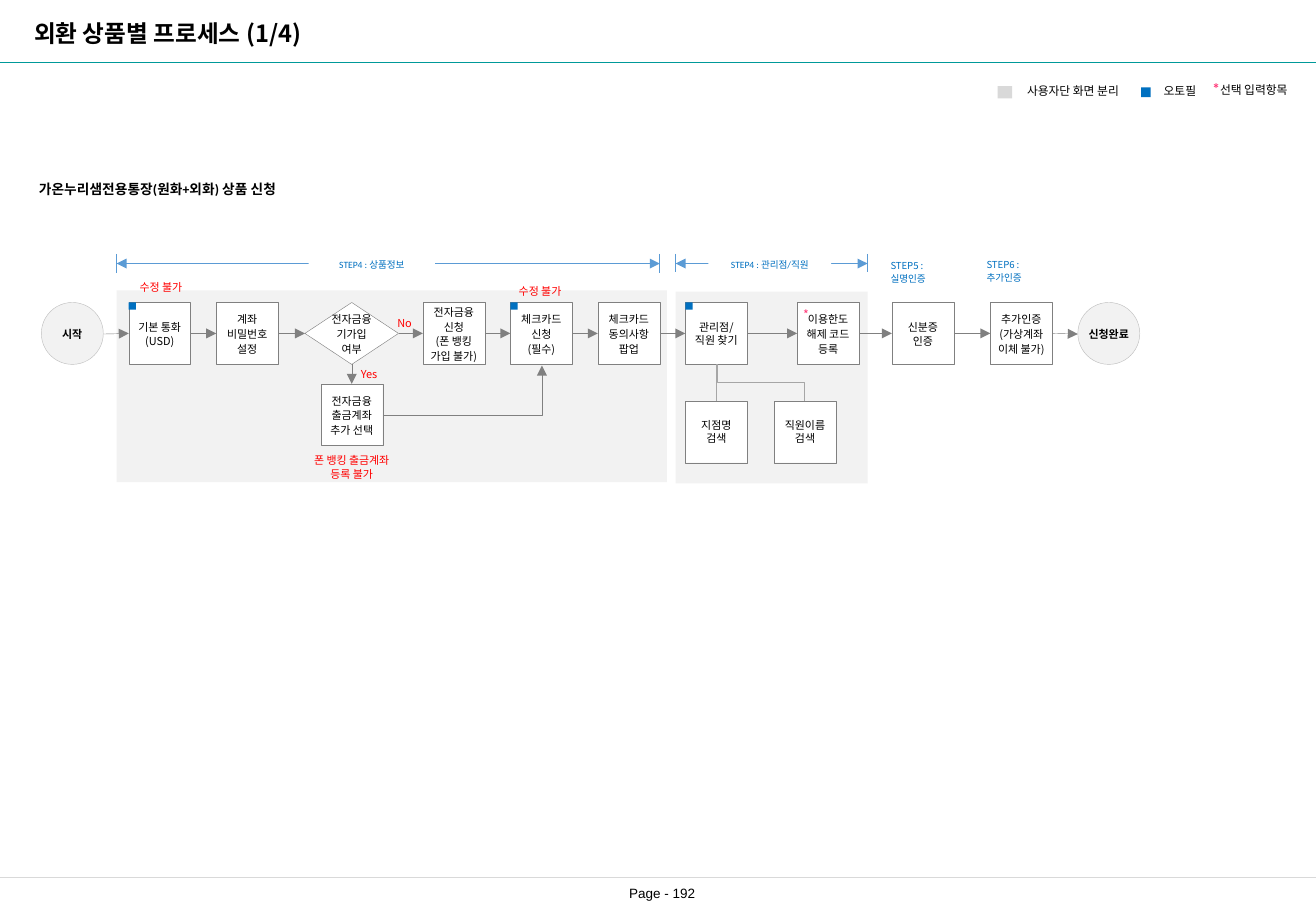
"""Build the foreign-currency account application flow slide."""
from itertools import pairwise

from lxml.etree import SubElement
from pptx import Presentation
from pptx.dml.color import RGBColor
from pptx.enum.shapes import MSO_CONNECTOR, MSO_SHAPE
from pptx.enum.text import MSO_ANCHOR, PP_ALIGN
from pptx.oxml.ns import qn
from pptx.util import Emu, Pt

SCALE = 9144
SANS = "Noto Sans CJK KR"
COLORS = {
    "black": "000000", "white": "FFFFFF", "red": "FF0000", "pink": "FF3878",
    "blue": "0070C0", "sky": "5B9BD5", "teal": "009999", "panel": "F2F2F2",
    "key": "D9D9D9", "rim": "BFBFBF", "branch": "A6A6A6", "edge": "808080",
}
ALIGN = {"left": PP_ALIGN.LEFT, "center": PP_ALIGN.CENTER}
ANCHOR = {"top": MSO_ANCHOR.TOP, "middle": MSO_ANCHOR.MIDDLE}
BOX, TOP, MID = 51, 249, 275


def px(*values):
    return [Emu(round(v * SCALE)) for v in values]


def rgb(name):
    return RGBColor.from_string(COLORS[name])


def put(para, text, size=6.5, color="black", bold=False, face=SANS):
    run = para.add_run()
    run.text = text
    run.font.size = Pt(size)
    run.font.bold = bold
    run.font.name = face
    run.font.color.rgb = rgb(color)
    SubElement(run.font._element, qn("a:ea"), typeface=SANS)


def write(shape, text, align="center", anchor="middle", wrap=False,
          lead=1.11, inset=(10, 5), **font):
    frame = shape.text_frame
    frame.word_wrap = wrap
    frame.vertical_anchor = ANCHOR[anchor]
    frame.margin_left, frame.margin_top = px(*inset)
    frame.margin_right, frame.margin_bottom = px(*inset)
    for i, line in enumerate(text.split("\n")):
        para = frame.add_paragraph() if i else frame.paragraphs[0]
        para.alignment = ALIGN[align]
        para.line_spacing = lead
        put(para, line, **font)
    return frame


class Board:
    def __init__(self, wide, high):
        self.deck = Presentation()
        self.deck.slide_width, self.deck.slide_height = px(wide, high)
        self.slide = self.deck.slides.add_slide(self.deck.slide_layouts[5])
        self.shapes = self.slide.shapes

    def title(self, area, text, **style):
        head = self.shapes.title
        head.left, head.top, head.width, head.height = px(*area)
        write(head, text, **style)

    def label(self, area, text, **style):
        return write(self.shapes.add_textbox(*px(*area)), text, **style)

    def block(self, area, fill="white", line=None, kind=MSO_SHAPE.RECTANGLE):
        shape = self.shapes.add_shape(kind, *px(*area))
        shape.shadow.inherit = False
        shape.fill.solid()
        shape.fill.fore_color.rgb = rgb(fill)
        if line:
            shape.line.color.rgb = rgb(line)
            shape.line.width = Pt(0.25)
        else:
            shape.line.fill.background()
        return shape

    def step(self, x, text, y=TOP, lead=1.11):
        shape = self.block((x, y, BOX, BOX), line="edge")
        write(shape, text, lead=lead)
        return shape

    def choice(self, x, text):
        shape = self.block((x, TOP, 77, BOX), line="edge",
                           kind=MSO_SHAPE.FLOWCHART_DECISION)
        write(shape, text)
        return shape

    def round(self, x, text):
        shape = self.block((x, TOP, BOX, BOX), "panel", "rim", MSO_SHAPE.OVAL)
        write(shape, text, bold=True)
        return shape

    def line(self, ends, color="edge", width=0.25, heads=(),
             kind=MSO_CONNECTOR.STRAIGHT):
        wire = self.shapes.add_connector(kind, *px(*ends))
        wire.line.color.rgb = rgb(color)
        wire.line.width = Pt(width)
        for head in heads:
            SubElement(wire.line._get_or_add_ln(), qn("a:" + head), type="triangle")
        SubElement(wire._element.spPr, qn("a:effectLst"))
        return wire

    def link(self, first, last, sides=(3, 1), **style):
        start = (first.left + first.width) / SCALE
        wire = self.line((start, MID, last.left / SCALE, MID), **style)
        joins = (wire.begin_connect, wire.end_connect)
        for join, shape, side in zip(joins, (first, last), sides):
            if shape.auto_shape_type != MSO_SHAPE.OVAL:
                join(shape, side)

    def span(self, left, right, foot, area, text):
        for x in (left, right):
            self.line((x, 209, x, foot), "sky", 0.5)
        self.line((left, 217, right, 217), "sky", 0.5, ("headEnd", "tailEnd"))
        write(self.block(area), text, wrap=True, lead=1, size=5.7,
              color="blue", face="Calibri")


def legend(board):
    board.block((821, 71, 12, 10), "key")
    board.block((939, 72, 8, 8), "blue")
    for area, text in (((830, 64, 106, 23), "사용자단 화면 분리"),
                       ((939, 64, 64, 22), "오토필")):
        board.label(area, text, anchor="top", wrap=True, lead=1, size=7,
                    face="Calibri")
    frame = board.label((988, 60, 93, 25), "*", align="left", anchor="top",
                        wrap=True, lead=1, size=9, color="pink", bold=True,
                        face="Calibri")
    put(frame.paragraphs[0], "선택 입력항목", size=7, face="Calibri")


def flow(board):
    board.block((556, 240, 158, 158), "panel")
    board.block((96, 239, 453, 158), "panel")
    start = board.round(34, "시작")
    coin = board.step(106, "기본 통화\n(USD)")
    code = board.step(178, "계좌\n비밀번호\n설정")
    joined = board.choice(251, "전자금융\n기가입\n여부")
    apply = board.step(348, "전자금융\n신청\n(폰 뱅킹\n가입 불가)")
    card = board.step(420, "체크카드\n신청\n(필수)")
    terms = board.step(492, "체크카드\n동의사항\n팝업")
    branch = board.step(564, "관리점/\n직원 찾기", lead=1)
    limit = board.step(656, "이용한도\n해제 코드\n등록")
    proof = board.step(734, "신분증\n인증")
    extra = board.step(815, "추가인증\n(가상계좌\n이체 불가)")
    done = board.round(887, "신청완료")
    chain = (start, coin, code, joined, apply, card, terms, branch, limit,
             proof, extra, done)
    for first, last in pairwise(chain):
        board.link(first, last, heads=["tailEnd"])

    draw = board.step(264, "전자금융\n출금계좌\n추가 선택", y=316)
    office = board.step(564, "지점명\n검색", y=330, lead=1)
    board.step(637, "직원이름\n검색", y=330, lead=1)
    board.link(joined, draw, (2, 0), heads=["tailEnd"])
    board.link(branch, office, (2, 0), color="branch", width=0.5)
    back = board.line((315, 342, 446, 301), heads=["tailEnd"],
                      kind=MSO_CONNECTOR.ELBOW)
    back._element.spPr.find(qn("a:prstGeom")).set("prst", "bentConnector2")
    fork = board.line((641, 279, 611, 351), "branch", 0.5,
                      kind=MSO_CONNECTOR.ELBOW)
    fork._element.spPr.find(qn("a:xfrm")).set("rot", "16200000")

    for x in (106, 420, 564):
        board.block((x, TOP, 6, 6), "blue")
    board.label((651, 247, 25, 24), "*", align="left", anchor="top",
                size=7.3, color="pink")


def notes(board):
    for area, text, align in (
        ((318, 255, 36, 21), "No", "left"),
        ((288, 297, 40, 21), "Yes", "left"),
        ((246, 368, 87, 33), "폰 뱅킹 출금계좌\n등록 불가", "center"),
        ((104, 226, 57, 21), "수정 불가", "center"),
        ((416, 229, 57, 21), "수정 불가", "center"),
    ):
        board.label(area, text, align=align, anchor="top", inset=(9, 4), color="red")
    board.span(96, 543, 225, (254, 208, 104, 20), "STEP4 : 상품정보")
    board.span(556, 714, 224, (583, 208, 101, 20), "STEP4 : 관리점/직원")
    for x, y, text in ((723, 208, "STEP5 :\n실명인증"), (802, 207, "STEP6 :\n추가인증")):
        write(board.block((x, y, 52, 31)), text, align="left", anchor="top",
              size=5.7, color="blue")


def main():
    board = Board(1083, 750)
    board.title((17, 10, 875, 34), "외환 상품별 프로세스 (1/4)", align="left",
                wrap=True, lead=1, inset=(11, 5), size=14, bold=True)
    board.line((0, 51, 1083, 51), "teal", 0.25)
    board.line((0, 722, 1083, 722), "key", 0.5)
    board.label((495, 721, 100, 29), "Page - 192", lead=1, size=8, face="Arial")
    board.label((23, 145, 235, 22), "가온누리샘전용통장(원화+외화) 상품 신청",
                align="left", lead=1, inset=(9, 4), size=8.1, bold=True,
                face="Calibri")
    legend(board)
    flow(board)
    notes(board)
    board.deck.save("out.pptx")


if __name__ == "__main__":
    main()
